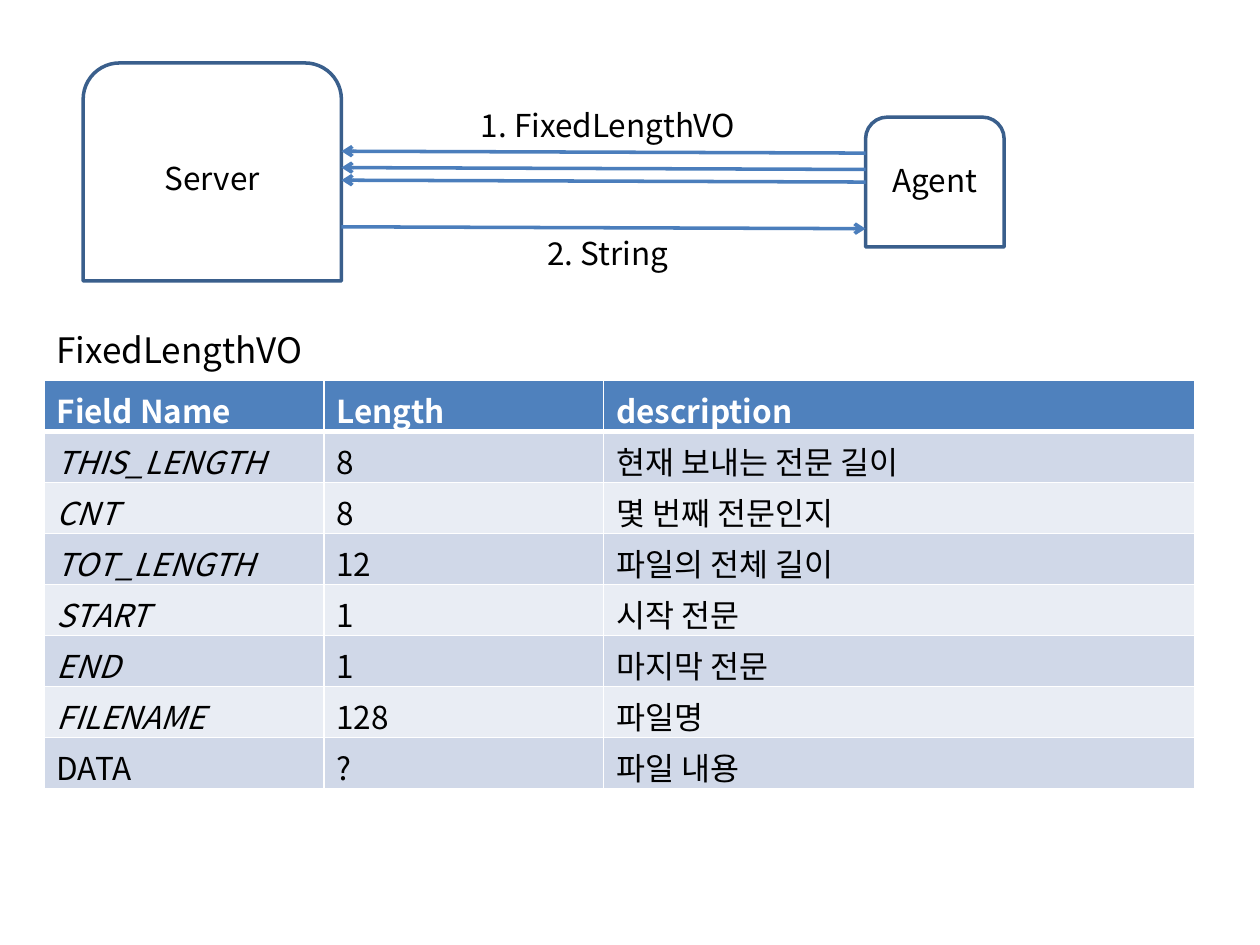
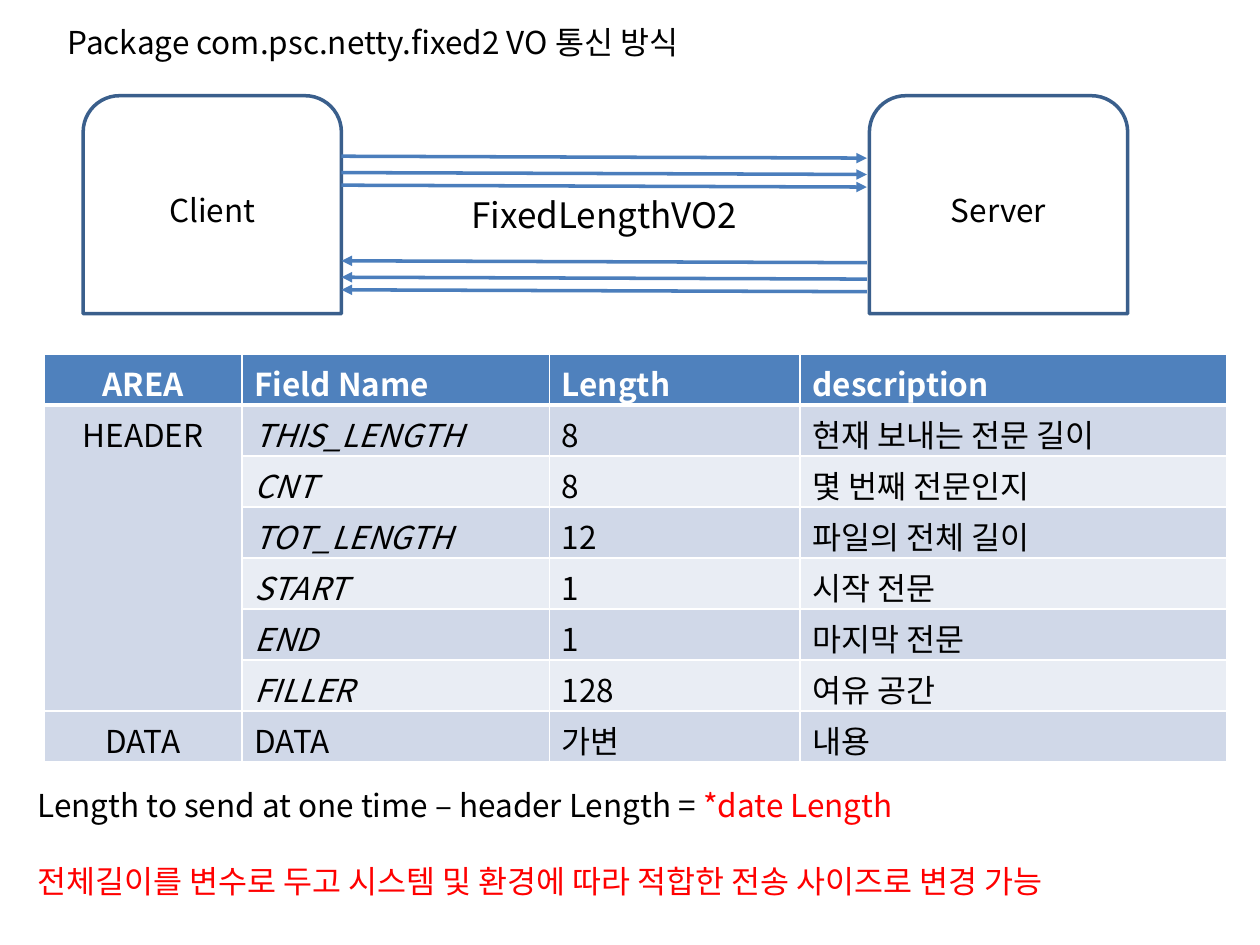
from collections import namedtuple

from lxml import etree
from pptx import Presentation
from pptx.dml.color import RGBColor
from pptx.enum.shapes import MSO_CONNECTOR, MSO_SHAPE
from pptx.enum.text import MSO_AUTO_SIZE, PP_ALIGN
from pptx.oxml.ns import qn
from pptx.util import Emu, Inches, Pt

LEFT, CENTER = PP_ALIGN.LEFT, PP_ALIGN.CENTER
GROW = MSO_AUTO_SIZE.SHAPE_TO_FIT_TEXT
ROUND_TOP = MSO_SHAPE.ROUND_2_SAME_RECTANGLE
STRAIGHT = MSO_CONNECTOR.STRAIGHT

COLUMNS, ROWS = 100, 75
UNIT = Inches(0.1)
FONT = "Noto Sans CJK KR"
BLACK, WHITE, RED = "000000", "FFFFFF", "FF0000"
OUTLINE, WIRE, HEADER = "3A5F8C", "4B7EBC", "4F81BD"
BANDS = ("D0D8E8", "E9EDF4")
LINE_WIDTH = Pt(2)
LABEL_HEIGHT = 4
WIRE_STEPS = (0, 1.3, 2.3)
WIRE_DROP = 0.15

Box = namedtuple("Box", "left top width height")
Span = namedtuple("Span", "text color", defaults=[BLACK])

COMMON_FIELDS = [
    ("THIS_LENGTH", "8", "현재 보내는 전문 길이"),
    ("CNT", "8", "몇 번째 전문인지"),
    ("TOT_LENGTH", "12", "파일의 전체 길이"),
    ("START", "1", "시작 전문"),
    ("END", "1", "마지막 전문"),
]
FIELD_TITLES = ("Field Name", "Length", "description")


def rgb(value):
    return RGBColor.from_string(value)


def grid(value):
    return Emu(round(value * UNIT))


def place(box):
    return [grid(value) for value in box]


def write(para, spans, align=LEFT, **formats):
    para.alignment = align
    values = {"size": Pt(18), "name": FONT, **formats}
    for text, color in spans:
        span = para.add_run()
        span.text = text
        span.font.color.rgb = rgb(color)
        for name, value in values.items():
            setattr(span.font, name, value)
        east_asian = etree.SubElement(span.font._element, qn("a:ea"))
        east_asian.set("typeface", FONT)


def add_text(page, box, paragraphs, align=LEFT, gap=0, size=18):
    frame = page.shapes.add_textbox(*place(box)).text_frame
    frame.word_wrap = True
    frame.auto_size = GROW
    for index, spans in enumerate(paragraphs):
        para = frame.add_paragraph() if index else frame.paragraphs[0]
        if index:
            para.space_before = Pt(gap)
        write(para, spans, align, size=Pt(size))


def add_label(page, box, text, align=CENTER, size=18):
    add_text(page, box, [[Span(text)]], align, size=size)


def add_node(page, box, name, label_share=0.41, fill=None):
    shape = page.shapes.add_shape(ROUND_TOP, *place(box))
    shape.shadow.inherit = False
    if fill:
        shape.fill.solid()
        shape.fill.fore_color.rgb = rgb(fill)
    else:
        shape.fill.background()
    shape.line.color.rgb = rgb(OUTLINE)
    shape.line.width = LINE_WIDTH
    label_top = box.top + box.height * label_share
    add_label(page, Box(box.left, label_top, box.width, LABEL_HEIGHT), name)


def add_wires(page, box, offsets, end, arrow):
    for offset in offsets:
        top = box.top + offset
        wire = page.shapes.add_connector(
            STRAIGHT, grid(box.left), grid(top),
            grid(box.left + box.width), grid(top + WIRE_DROP))
        wire.line.color.rgb = rgb(WIRE)
        wire.line.width = LINE_WIDTH
        properties = wire._element.spPr
        tip = etree.SubElement(properties.find(qn("a:ln")), qn("a:" + end))
        tip.set("type", arrow)
        etree.SubElement(properties, qn("a:effectLst"))


def set_borders(cell, row):
    properties = cell._tc.get_or_add_tcPr()
    thick = {(0, "lnB"), (1, "lnT")}
    for side in ("lnL", "lnR", "lnT", "lnB"):
        width = Pt(3) if (row, side) in thick else Pt(1)
        border = etree.SubElement(properties, qn("a:" + side), w=str(width))
        fill = etree.SubElement(border, qn("a:solidFill"))
        etree.SubElement(fill, qn("a:srgbClr"), val=WHITE)


def add_field_table(page, box, widths, rows, italic_column, merged_rows=0):
    frame = page.shapes.add_table(len(rows), len(widths), *place(box))
    table = frame.table
    for column, width in zip(table.columns, widths):
        column.width = grid(width)
    for row, values in enumerate(rows):
        table.rows[row].height = grid(box.height / len(rows))
        for column, text in enumerate(values):
            cell = table.cell(row, column)
            set_borders(cell, row)
            cell.fill.solid()
            fill = BANDS[(row - 1) % 2] if row else HEADER
            cell.fill.fore_color.rgb = rgb(fill)
            if text:
                italic = column == italic_column and row and text != "DATA"
                align = CENTER if column < italic_column else LEFT
                color = BLACK if row else WHITE
                write(cell.text_frame.paragraphs[0], [Span(text, color)],
                      align, bold=not row, italic=bool(italic))
    if merged_rows:
        table.cell(1, 0).merge(table.cell(merged_rows, 0))


def add_agent_diagram(page, box):
    server = Box(box.left, box.top, 20.5, box.height)
    agent = Box(box.left + box.width - 11, box.top + 4.3, 11, 10.3)
    add_node(page, server, "Server")
    add_node(page, agent, "Agent", 0.29, WHITE)
    link_left = server.left + server.width
    link = Box(link_left, box.top + 7, agent.left - link_left, 6)
    add_wires(page, link, WIRE_STEPS, "headEnd", "arrow")
    add_wires(page, link, [link.height], "tailEnd", "arrow")
    label_left = link.left + 6.8
    for top, text in ((-4.1, "1. FixedLengthVO"), (6.1, "2. String")):
        add_label(page, Box(label_left, link.top + top, 28.7, LABEL_HEIGHT), text)


def add_client_diagram(page, box):
    client = Box(box.left, box.top, 20.5, box.height)
    server = client._replace(left=box.left + box.width - client.width)
    add_node(page, client, "Client")
    add_node(page, server, "Server")
    link_left = client.left + client.width
    link = Box(link_left, box.top + 4.8, server.left - link_left - 0.2, 8.3)
    add_wires(page, link, WIRE_STEPS, "tailEnd", "triangle")
    replies = [link.height + step for step in WIRE_STEPS]
    add_wires(page, link, replies, "headEnd", "triangle")
    add_label(page, Box(link.left, link.top + 2.5, link.width, 4.4),
              "FixedLengthVO2", size=20)


def build_agent_page(page):
    add_agent_diagram(page, Box(6.6, 5, 73.1, 17.3))
    add_label(page, Box(3.5, 25.6, 33.1, 4.4), "FixedLengthVO", LEFT, 20)
    rows = [FIELD_TITLES, *COMMON_FIELDS,
            ("FILENAME", "128", "파일명"), ("DATA", "?", "파일 내용")]
    add_field_table(page, Box(3.5, 30.2, 91.3, 32.4), (22.2, 22.2, 46.9), rows, 0)


def build_client_page(page):
    add_label(page, Box(4.4, 1.3, 55, LABEL_HEIGHT),
              "Package com.psc.netty.fixed2 VO 통신 방식", LEFT)
    add_client_diagram(page, Box(6.6, 7.6, 82.9, 17.3))
    header_fields = [*COMMON_FIELDS, ("FILLER", "128", "여유 공간")]
    areas = ["HEADER"] + [""] * (len(header_fields) - 1)
    rows = [("AREA", *FIELD_TITLES),
            *((area, *field) for area, field in zip(areas, header_fields)),
            ("DATA", "DATA", "가변", "내용")]
    add_field_table(page, Box(3.5, 28.1, 93.9, 32.4), (15.7, 24.4, 19.9, 33.9),
                    rows, 1, len(header_fields))
    notes = [
        [Span("Length to send at one time – header Length = "),
         Span("*date Length", RED)],
        [Span("전체길이를 변수로 두고 시스템 및 환경에 따라 적합한 전송 사이즈로 변경 가능", RED)],
    ]
    add_text(page, Box(2, 61.9, 94.5, 10.1), notes, gap=21.7)


deck = Presentation()
deck.slide_width, deck.slide_height = grid(COLUMNS), grid(ROWS)
for build in (build_agent_page, build_client_page):
    build(deck.slides.add_slide(deck.slide_layouts[6]))
deck.save("out.pptx")
